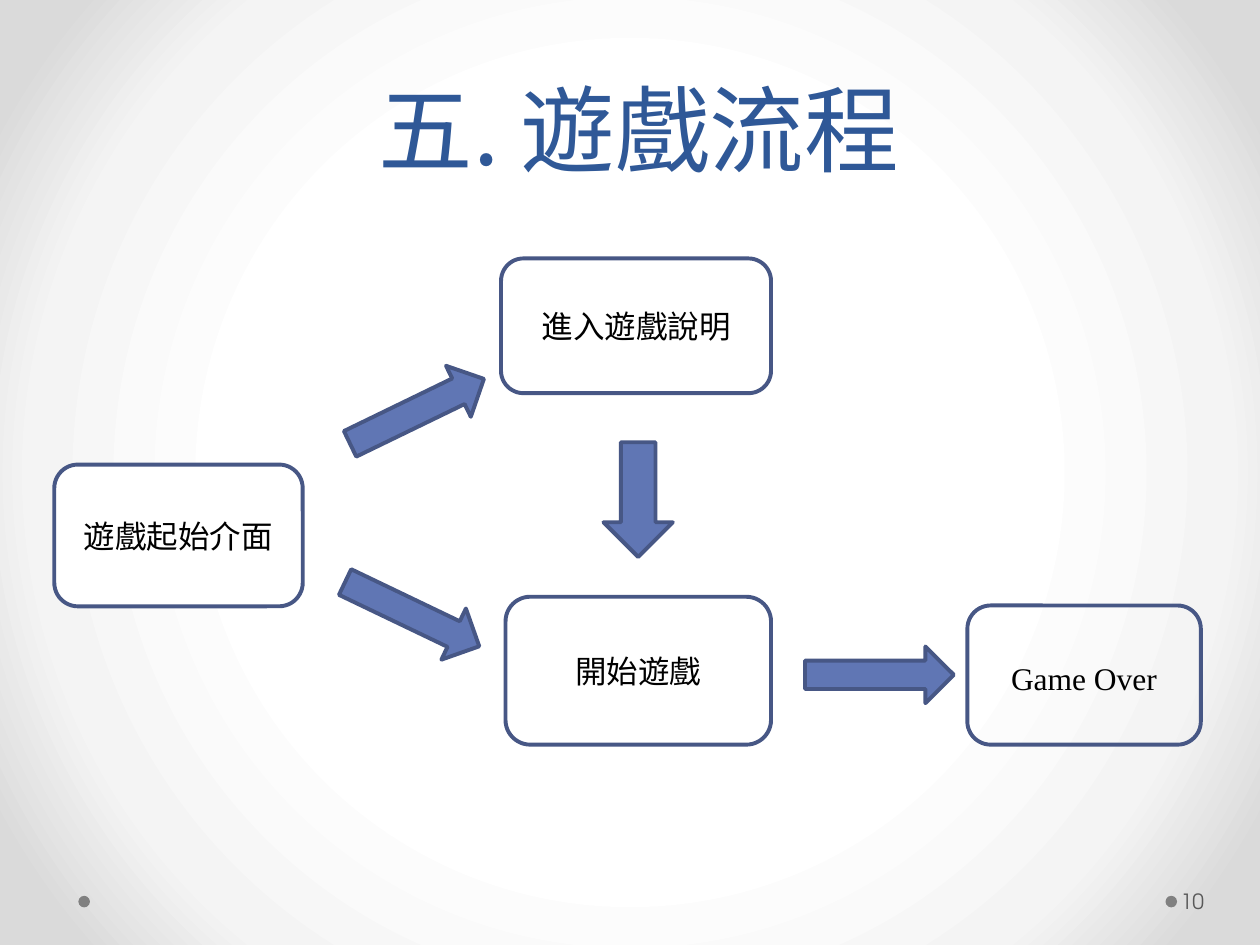
from dataclasses import dataclass

from lxml.etree import SubElement
from pptx import Presentation
from pptx.dml.color import RGBColor
from pptx.enum.shapes import MSO_SHAPE
from pptx.enum.text import MSO_ANCHOR, MSO_AUTO_SIZE, PP_ALIGN
from pptx.oxml.ns import qn
from pptx.util import Pt


@dataclass(frozen=True)
class Theme:
    title_color: str = "2F5897"
    text_color: str = "000000"
    number_color: str = "595959"
    dot_color: str = "808080"
    arrow_color: str = "6076B4"
    outline_color: str = "475785"
    box_color: str = "FFFFFF"
    backdrop: tuple = ((50, "FFFFFF"), (76, "F4F4F4"), (92, "DADADA"))
    chinese_font: str = "Noto Sans CJK SC"
    latin_font: str = "Times New Roman"
    number_font: str = "TeX Gyre Adventor"
    title_size: float = 54
    label_size: float = 18
    number_size: float = 12
    outline_width: float = 2.25


THEME = Theme()


def paint_backdrop(slide):
    """Fill the background with a circular gradient around the centre."""
    fill = slide.background.fill
    fill.gradient()
    gradient = slide.background._cSld.find(".//" + qn("a:gradFill"))
    for child in list(gradient):
        gradient.remove(child)
    stops = SubElement(gradient, qn("a:gsLst"))
    for position, color in THEME.backdrop:
        stop = SubElement(stops, qn("a:gs"), pos=str(position * 1000))
        SubElement(stop, qn("a:srgbClr"), val=color)
    circle = SubElement(gradient, qn("a:path"), {"path": "circle"})
    SubElement(circle, qn("a:fillToRect"), l="50000", t="50000", r="50000", b="50000")


def write(shape, text, size, color, font, align=PP_ALIGN.CENTER):
    paragraph = shape.text_frame.paragraphs[0]
    paragraph.alignment = align
    run = paragraph.add_run()
    run.text = text
    run.font.size = Pt(size)
    run.font.name = font
    run.font.color.rgb = RGBColor.from_string(color)
    SubElement(run.font._element, qn("a:ea"), typeface=font)
    return paragraph


def add_text(slide, frame, anchor, wrap=True):
    shape = slide.shapes.add_textbox(*map(Pt, frame))
    shape.text_frame.word_wrap = wrap
    shape.text_frame.vertical_anchor = anchor
    return shape


def add_preset(slide, preset, frame, fill=None, outlined=True):
    shape = slide.shapes.add_shape(preset, *map(Pt, frame))
    shape.shadow.inherit = False
    if fill:
        shape.fill.solid()
        shape.fill.fore_color.rgb = RGBColor.from_string(fill)
    else:
        shape.fill.background()
    if outlined:
        shape.line.color.rgb = RGBColor.from_string(THEME.outline_color)
        shape.line.width = Pt(THEME.outline_width)
    else:
        shape.line.fill.background()
    return shape


def add_step(slide, frame, label=None, fill=None):
    shape = add_preset(slide, MSO_SHAPE.ROUNDED_RECTANGLE, frame, fill)
    if label:
        shape.text_frame.word_wrap = True
        shape.text_frame.vertical_anchor = MSO_ANCHOR.MIDDLE
        write(shape, label, THEME.label_size, THEME.text_color, THEME.chinese_font)


def add_arrow(slide, left, top, width=85, height=32.4, angle=0):
    frame = (left, top, width, height)
    arrow = add_preset(slide, MSO_SHAPE.RIGHT_ARROW, frame, THEME.arrow_color)
    arrow.rotation = angle


def add_title(slide, text):
    title = add_text(slide, (41, 43.2, 648, 65.5), MSO_ANCHOR.BOTTOM)
    paragraph = write(title, text, THEME.title_size, THEME.title_color,
                      THEME.chinese_font)
    paragraph.line_spacing = Pt(58)


def add_footer(slide, number):
    for left in (44.8, 666):
        add_preset(slide, MSO_SHAPE.OVAL, (left, 511.9, 6.6, 6.6),
                   THEME.dot_color, outlined=False)
    box = add_text(slide, (672.5, 500.4, 44, 28.8), MSO_ANCHOR.MIDDLE)
    box.text_frame.margin_left = Pt(2.2)
    box.text_frame.margin_right = Pt(3.6)
    write(box, number, THEME.number_size, THEME.number_color,
          THEME.number_font, PP_ALIGN.LEFT)


def main():
    presentation = Presentation()
    presentation.slide_width, presentation.slide_height = Pt(720), Pt(540)
    slide = presentation.slides.add_slide(presentation.slide_layouts[6])
    paint_backdrop(slide)
    add_footer(slide, "10")
    add_title(slide, "五. 遊戲流程")

    # Steps of the game
    add_step(slide, (31, 265.5, 142, 81), "遊戲起始介面", THEME.box_color)
    add_step(slide, (286.3, 147.7, 154.3, 77), "進入遊戲說明")
    add_step(slide, (288.9, 341, 151.7, 84.5), "開始遊戲")
    add_step(slide, (552.8, 346, 133.4, 79.5))
    ending = add_text(slide, (570.2, 373, 98.6, 28.8), MSO_ANCHOR.TOP, wrap=False)
    ending.text_frame.auto_size = MSO_AUTO_SIZE.SHAPE_TO_FIT_TEXT
    write(ending, "Game Over", THEME.label_size, THEME.text_color, THEME.latin_font)

    # Arrows between the steps
    add_arrow(slide, 460, 369.4)
    add_arrow(slide, 331.9, 265.7, 65.5, 39.6, angle=90)
    add_arrow(slide, 195.8, 218.9, angle=334.1)
    add_arrow(slide, 193, 334.8, angle=25.6)

    presentation.save("out.pptx")


if __name__ == "__main__":
    main()
